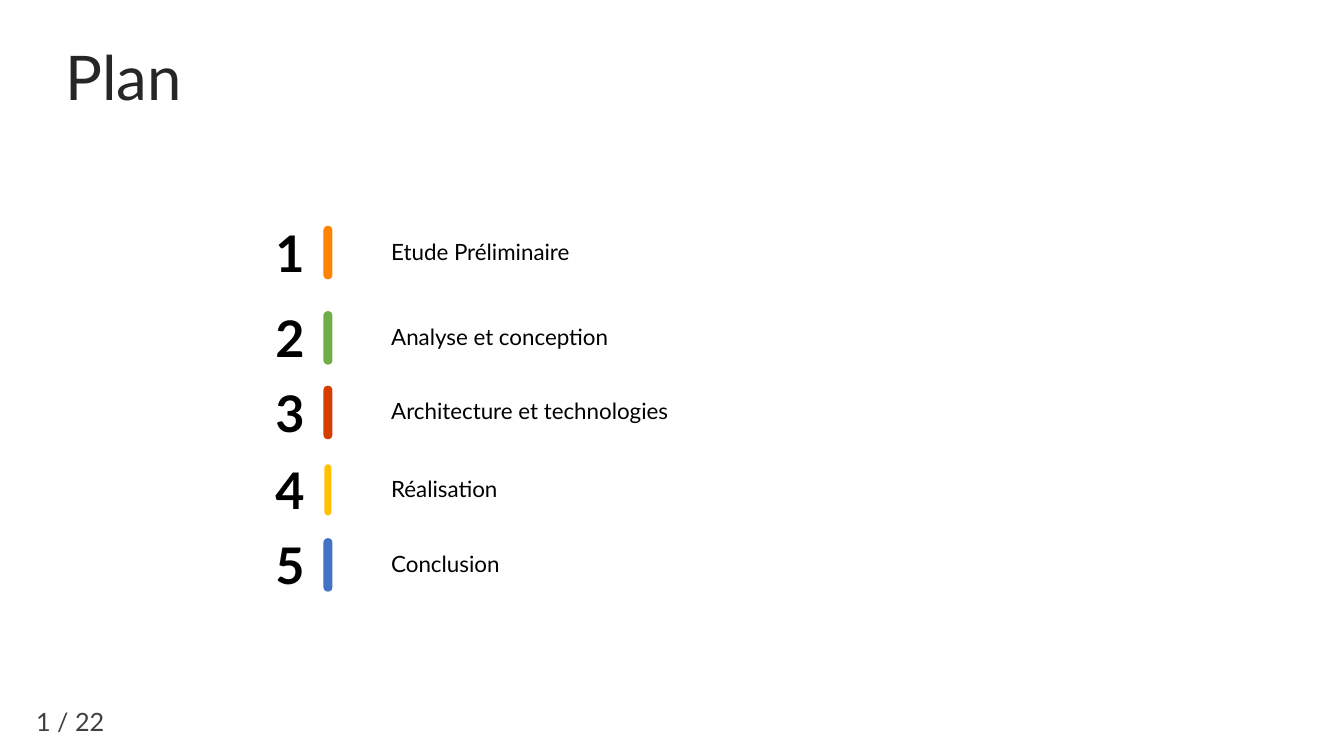
from pptx import Presentation
from pptx.dml.color import RGBColor
from pptx.enum.shapes import MSO_SHAPE
from pptx.enum.text import MSO_ANCHOR, MSO_AUTO_SIZE, PP_ALIGN
from pptx.util import Cm, Pt

BAR = MSO_SHAPE.ROUND_2_SAME_RECTANGLE
TOP, MIDDLE = MSO_ANCHOR.TOP, MSO_ANCHOR.MIDDLE
LEFT, CENTER = PP_ALIGN.LEFT, PP_ALIGN.CENTER
NO_FIT, GROW = MSO_AUTO_SIZE.NONE, MSO_AUTO_SIZE.SHAPE_TO_FIT_TEXT

THEME = {
    "font": "Lato",
    "title": (44, "262626"),
    "number": (36, "000000"),
    "item": (16, "000000"),
    "page": (18, "404040"),
    "outline": "FFFFFF",
}


def write(tf, text, style, align=LEFT, bold=False):
    """Fill the first paragraph in one of the theme's text styles."""
    size, color = THEME[style]
    p = tf.paragraphs[0]
    p.text = text
    p.alignment = align
    p.font.name = THEME["font"]
    p.font.size = Pt(size)
    p.font.bold = bold
    p.font.color.rgb = RGBColor.from_string(color)
    return p


def add_text(x, y, w, h, inset_x, inset_y, wrap, fit):
    """Add a text box and return its text frame."""
    tf = slide.shapes.add_textbox(Cm(x), Cm(y), Cm(w), Cm(h)).text_frame
    tf.margin_left = tf.margin_right = Cm(inset_x)
    tf.margin_top = tf.margin_bottom = Cm(inset_y)
    tf.word_wrap = wrap
    tf.auto_size = fit
    return tf


prs = Presentation()
prs.slide_width, prs.slide_height = Cm(33.87), Cm(19.05)
slide = prs.slides.add_slide(prs.slide_layouts[5])

# Title
title = slide.shapes.title
title.left, title.top, title.width, title.height = Cm(1.4), Cm(1.07), Cm(30.58), Cm(1.78)
tf = title.text_frame
tf.auto_size = NO_FIT
tf.vertical_anchor = TOP
write(tf, "Plan", "title").line_spacing = 0.9

# Agenda rows: top in cm, heading, bar colour, bar outlined
rows = [
    (5.69, "Etude Préliminaire", "FE8301", False),
    (7.84, "Analyse et conception", "70AD47", False),
    (9.72, "Architecture et technologies", "D43E01", False),
    (11.67, "Réalisation", "FFC000", True),
    (13.56, "Conclusion", "4472C4", False),
]
for number, (y, heading, color, outlined) in enumerate(rows, start=1):
    tf = add_text(9.25, y, 23.37, 1.3, 0.61, 0.3, True, GROW)
    write(tf, heading, "item")

    sp = slide.shapes.add_shape(BAR, Cm(8.15), Cm(y), Cm(0.23), Cm(1.35))
    sp.shadow.inherit = False
    sp.adjustments[0] = sp.adjustments[1] = 0.5
    sp.fill.solid()
    sp.fill.fore_color.rgb = RGBColor.from_string(color)
    if outlined:
        sp.line.color.rgb = RGBColor.from_string(THEME["outline"])
        sp.line.width = Pt(1.5)
    else:
        sp.line.fill.background()

    tf = add_text(6.43, y - 0.34, 1.73, 2.06, 0.51, 0.25, False, GROW)
    write(tf, str(number), "number", bold=True)

# Page number
tf = add_text(0.64, 17.55, 2.26, 1.27, 0.25, 0.13, False, NO_FIT)
tf.vertical_anchor = MIDDLE
write(tf, "1 / 22", "page", CENTER)

prs.save("out.pptx")
